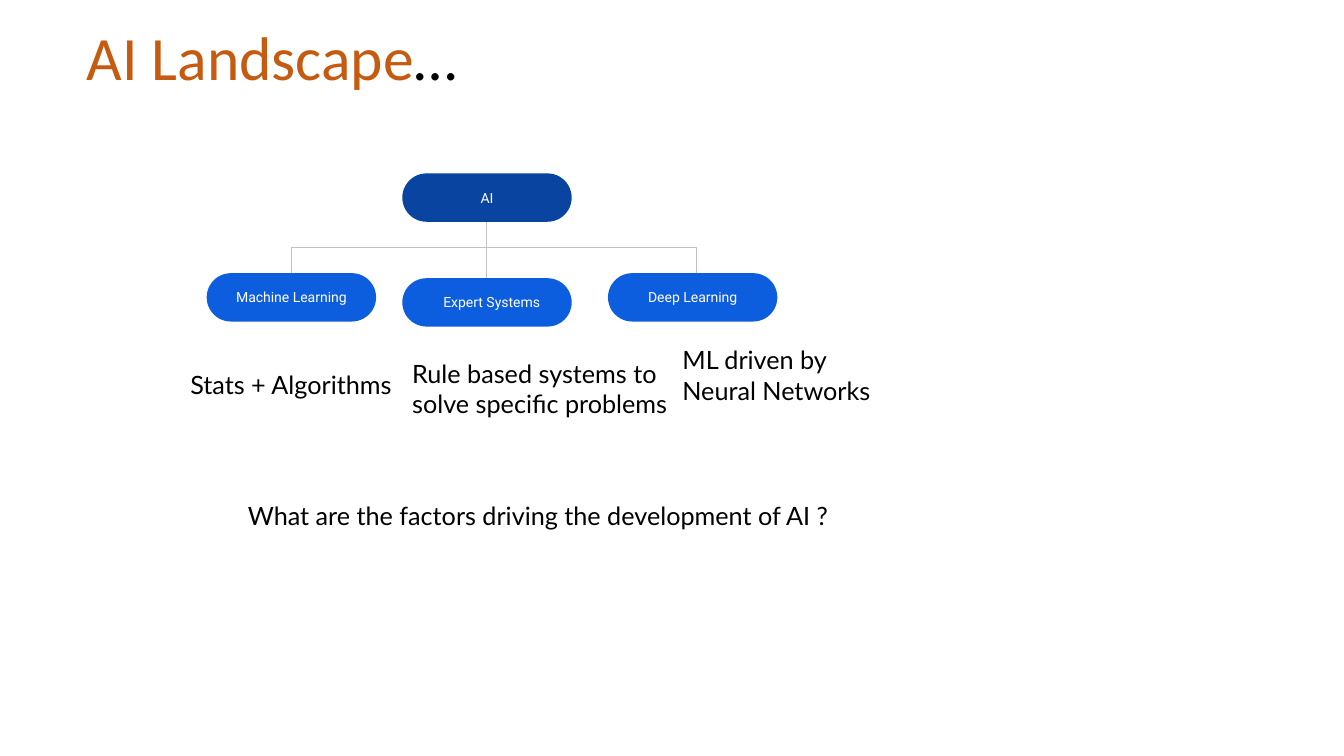
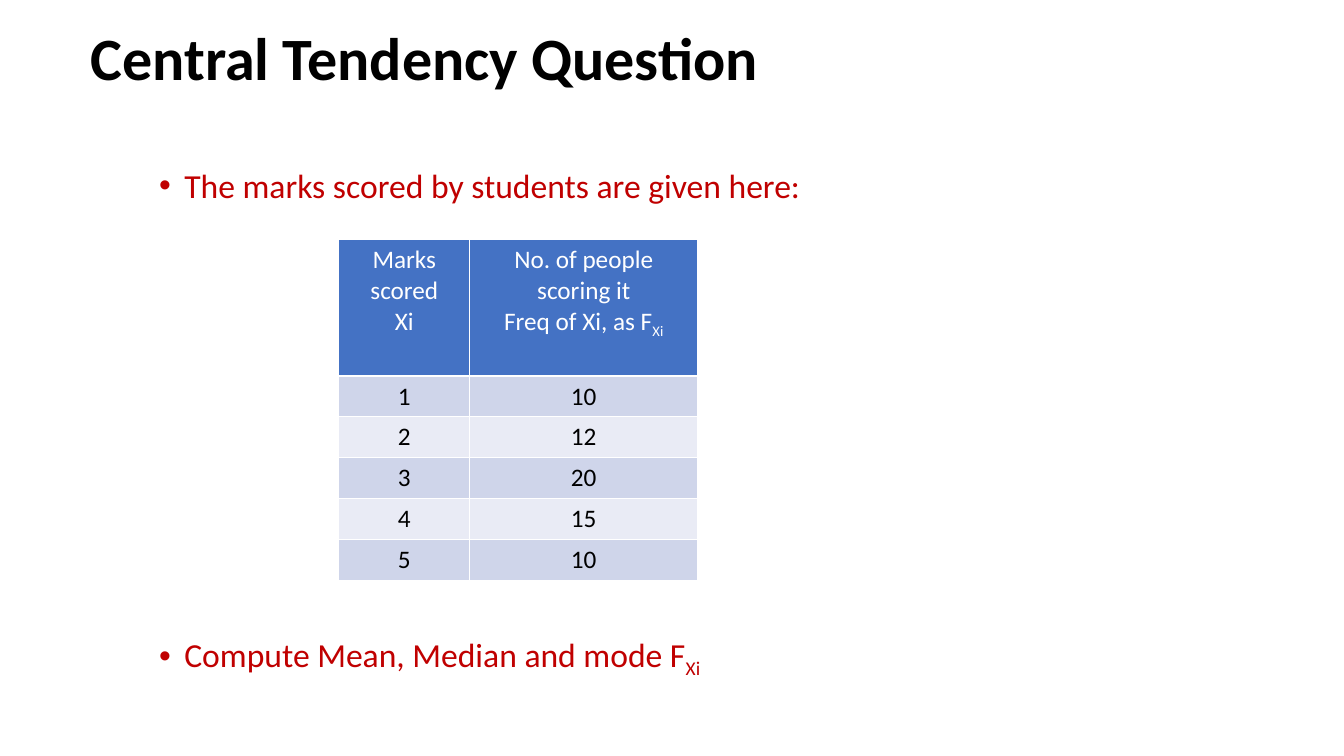
import pptx
import pptx.util
import pptx.dml.color
import pptx.enum.shapes
import pptx.enum.text
import pptx.oxml
import pptx.oxml.ns
from dataclasses import dataclass

Inch = pptx.util.Inches
Point = pptx.util.Pt
Align = pptx.enum.text.PP_ALIGN
Anchor = pptx.enum.text.MSO_ANCHOR
Link = pptx.enum.shapes.MSO_CONNECTOR


@dataclass(frozen=True)
class Theme:
    body: str = "Calibri"
    note: str = "Lato"
    node: str = "Roboto"
    black: str = "000000"
    white: str = "FFFFFF"
    rust: str = "C55A11"
    red: str = "C00000"
    navy: str = "0944A1"
    blue: str = "0D5DDF"
    grey: str = "C2C2C2"
    head: str = "4472C4"
    bands: tuple = ("CFD5EA", "E9EBF5")
    big: float = 44
    bold: float = 42.9
    point: float = 24
    text: float = 18
    small: float = 10


T = Theme()
SIZE = (13.33, 7.5)
NODE = (1.68, 0.48)
ROOT = ("AI", 3.99, 1.72)
NODES = [
    ("Machine Learning", 2.05, 2.71, 2.89, 0.1),
    ("Expert Systems", 3.99, 2.76, 4.83, 0.19),
    ("Deep Learning", 6.03, 2.71, 6.91, 0.1),
]
NOTES = [
    ("Stats + Algorithms", (1.79, 3.56, 2.53, 0.5)),
    ("Rule based systems to solve specific problems", (3.99, 3.45, 2.77, 0.81)),
    ("ML driven by Neural Networks", (6.67, 3.32, 2.24, 0.91)),
    ("What are the factors driving the development of AI ?", (2.36, 4.86, 6.45, 0.5)),
]
POINTS = [
    (["The marks scored by students are given here:"], 1.55),
    (["Compute Mean, Median and mode F", "Xi"], 6.19),
]
HEADS = [
    [["Marks scored"], ["Xi"]],
    [["No. of people scoring it"], ["Freq of Xi, as F", "Xi"]],
]
MARKS = [(1, 10), (2, 12), (3, 20), (4, 15), (5, 10)]
COLS = (1.3, 2.26)
ROWS = (1.35, 0.4)


def tint(name):
    return pptx.dml.color.RGBColor.from_string(name)


def add_run(para, text, face, size, hue, bold=False, sub=False):
    run = para.add_run()
    run.text = text
    font = run.font
    font.name, font.size, font.bold = face, Point(size), bold
    font.color.rgb = tint(hue)
    if sub:
        font._element.set("baseline", "-25000")


def set_frame(frame, side=0.1, edge=0.1, anchor=Anchor.TOP):
    frame.word_wrap = True
    frame.auto_size = pptx.enum.text.MSO_AUTO_SIZE.NONE
    frame.vertical_anchor = anchor
    frame.margin_left = frame.margin_right = Inch(side)
    frame.margin_top = frame.margin_bottom = Inch(edge)
    return frame.paragraphs[0]


def add_title(deck, box, runs, size, space, edge, bold=False):
    slide = deck.slides.add_slide(deck.slide_layouts[5])
    title = slide.shapes.title
    title.left, title.top, title.width, title.height = map(Inch, box)
    para = set_frame(title.text_frame, edge=edge)
    para.alignment = Align.LEFT
    para.line_spacing = space
    for text, hue in runs:
        add_run(para, text, T.body, size, hue, bold)
    return slide


def add_box(slide, box, edge=0.1):
    return set_frame(slide.shapes.add_textbox(*map(Inch, box)).text_frame, edge=edge)


def add_node(slide, text, left, top, fill, side=0.1):
    kind = pptx.enum.shapes.MSO_SHAPE.ROUNDED_RECTANGLE
    shape = slide.shapes.add_shape(kind, *map(Inch, (left, top, *NODE)))
    shape.adjustments[0] = 0.5
    shape.shadow.inherit = False
    shape.fill.solid()
    shape.fill.fore_color.rgb = tint(fill)
    shape.line.fill.background()
    para = set_frame(shape.text_frame, anchor=Anchor.MIDDLE)
    shape.text_frame.margin_left = Inch(side)
    para.alignment = Align.CENTER
    add_run(para, text, T.node, T.small, T.white)


def add_link(slide, start, end):
    (x, y), (u, v) = start, end
    bent = abs(u - x) > 0.01
    if bent:
        mid, row = (x + u) / 2, (y + v) / 2
        high, wide = (y - v) / 2, (u - x) / 2
        ends = (mid - high, row - wide, mid + high, row + wide)
    else:
        ends = (x, y, u, v)
    kind = Link.ELBOW if bent else Link.STRAIGHT
    link = slide.shapes.add_connector(kind, *map(Inch, ends))
    link.line.color.rgb = tint(T.grey)
    link.line.width = Point(0.75)
    props = link._element.spPr
    if bent:
        props.xfrm.set("rot", str(270 * 60000))
    props.append(pptx.oxml.parse_xml(f"<a:effectLst {pptx.oxml.ns.nsdecls('a')}/>"))


def add_point(slide, runs, top):
    para = add_box(slide, (1.48, top, 9.26, 0.6), 0.05)
    props = para._p.get_or_add_pPr()
    props.set("marL", str(Inch(0.25)))
    props.set("indent", str(-Inch(0.25)))
    space = pptx.oxml.ns.nsdecls("a")
    for part in (
        f'<a:buClr {space}><a:srgbClr val="{T.red}"/></a:buClr>',
        f'<a:buFont {space} typeface="Arial"/>',
        f'<a:buChar {space} char="•"/>',
    ):
        props.append(pptx.oxml.parse_xml(part))
    para.line_spacing = 1.1
    for i, text in enumerate(runs):
        add_run(para, text, T.body, T.point, T.red, sub=i > 0)


def fill_cell(cell, paras, fill, hue):
    cell.fill.solid()
    cell.fill.fore_color.rgb = tint(fill)
    props = cell._tc.get_or_add_tcPr()
    for i, side in enumerate("LRTB"):
        props.insert(i, pptx.oxml.parse_xml(
            f'<a:ln{side} {pptx.oxml.ns.nsdecls("a")} w="{Point(1)}"><a:solidFill>'
            f'<a:srgbClr val="{T.white}"/></a:solidFill></a:ln{side}>'))
    frame = cell.text_frame
    for i, runs in enumerate(paras):
        para = frame.add_paragraph() if i else frame.paragraphs[0]
        para.alignment = Align.CENTER
        for j, text in enumerate(runs):
            add_run(para, text, T.body, T.text, hue, sub=j > 0)


def add_marks(slide):
    highs = [ROWS[0]] + [ROWS[1]] * len(MARKS)
    box = (3.36, 2.38, sum(COLS), sum(highs))
    table = slide.shapes.add_table(len(highs), len(COLS), *map(Inch, box)).table
    for col, wide in zip(table.columns, COLS):
        col.width = Inch(wide)
    for row, high in zip(table.rows, highs):
        row.height = Inch(high)
    for j, paras in enumerate(HEADS):
        fill_cell(table.cell(0, j), paras, T.head, T.white)
    for i, marks in enumerate(MARKS):
        for j, mark in enumerate(marks):
            fill_cell(table.cell(i + 1, j), [[str(mark)]], T.bands[i % 2], T.black)


def main():
    deck = pptx.Presentation()
    deck.slide_width, deck.slide_height = map(Inch, SIZE)

    slide = add_title(deck, (0.76, 0.17, 9.04, 0.69),
                      [("AI Landscape", T.rust), ("…", T.black)], T.big, 0.9, 0.1)
    name, left, top = ROOT
    base = (left + NODE[0] / 2, top + NODE[1])
    for text, x, y, joint, side in NODES:
        add_link(slide, (joint, y), base)
        add_node(slide, text, x, y, T.blue, side)
    add_node(slide, name, left, top, T.navy)
    for text, box in NOTES:
        add_run(add_box(slide, box), text, T.note, T.text, T.black)

    slide = add_title(deck, (0.8, 0.29, 9.55, 0.7),
                      [("Central Tendency Question", T.black)], T.bold, 0.8, 0.05, True)
    for runs, top in POINTS:
        add_point(slide, runs, top)
    add_marks(slide)

    deck.save("out.pptx")


if __name__ == "__main__":
    main()
